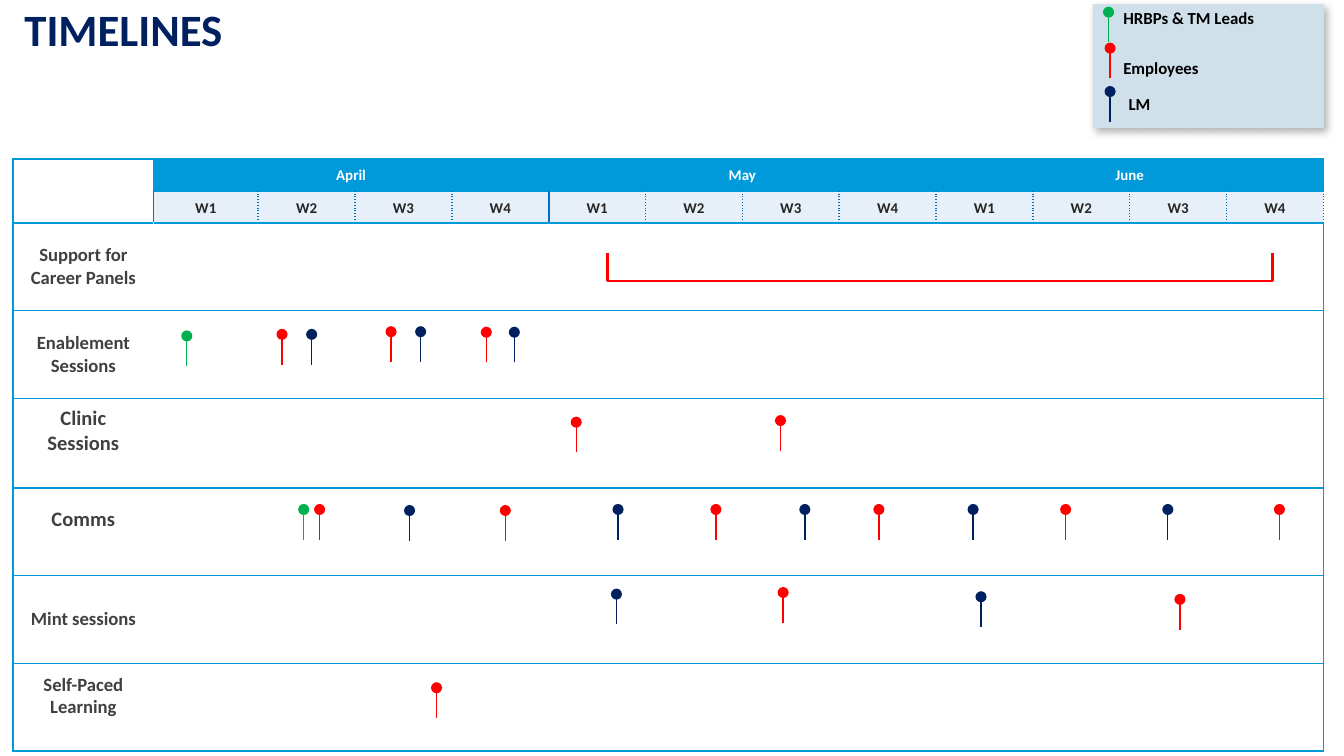
import lxml.etree
import pptx
import pptx.dml.color
import pptx.enum.shapes
import pptx.enum.text
import pptx.oxml
import pptx.oxml.ns
import pptx.util

Cm, Pt = pptx.util.Cm, pptx.util.Pt
RGBColor = pptx.dml.color.RGBColor
qn = pptx.oxml.ns.qn

NAVY = RGBColor(0x00, 0x20, 0x60)
GREEN = RGBColor(0x00, 0xB0, 0x50)
RED = RGBColor(0xFF, 0x00, 0x00)
SKY = RGBColor(0x00, 0x9A, 0xDA)
BLUE = RGBColor(0x00, 0x70, 0xC0)
PALE_BLUE = RGBColor(0xE7, 0xEF, 0xF8)
LEGEND_FILL = RGBColor(0xCF, 0xE0, 0xEA)
WHITE = RGBColor(0xFF, 0xFF, 0xFF)
BLACK = RGBColor(0x00, 0x00, 0x00)
DARK = RGBColor(0x26, 0x26, 0x26)
GREY = RGBColor(0x40, 0x40, 0x40)

FONT = "Calibri"
PIN_LENGTH = 0.57

# Table measures in centimetres
COLUMN_WIDTHS = [2.65, 1.98] + [1.83] * 11
HEADER_HEIGHTS = [0.62, 0.59]
ROW_HEIGHT = 1.66
MONTHS = ["April", "May", "June"]
WEEKS = 4

# Label, text size, bottom margin, pins (distance from table left, from row top, colour)
ACTIVITIES = [
    ("Support for Career Panels", 10, 0.13, []),
    ("Enablement Sessions", 10, 0.13, [
        (3.28, 0.48, GREEN), (5.08, 0.45, RED), (5.64, 0.45, NAVY), (7.14, 0.4, RED),
        (7.7, 0.4, NAVY), (8.94, 0.41, RED), (9.47, 0.41, NAVY)]),
    ("Clinic Sessions", 11, 0.6, [(10.64, 0.45, RED), (14.5, 0.42, RED)]),
    ("Comms", 11, 0.6, [
        (5.49, 0.44, GREEN), (5.79, 0.44, RED), (7.49, 0.46, NAVY), (9.3, 0.46, RED),
        (11.43, 0.44, NAVY), (13.28, 0.44, RED), (14.96, 0.44, NAVY), (16.36, 0.44, RED),
        (18.14, 0.44, NAVY), (19.89, 0.44, RED), (21.82, 0.44, NAVY), (23.93, 0.44, RED)]),
    ("Mint sessions", 10, 0.13, [
        (11.4, 0.38, NAVY), (14.55, 0.35, RED), (18.29, 0.43, NAVY), (22.05, 0.48, RED)]),
    ("Self-Paced Learning", 10, 0.55, [(8, 0.49, RED)]),
]


def add_text(paragraph, text, size, colour):
    run = paragraph.add_run()
    run.text = text
    run.font.name = FONT
    run.font.size = Pt(size)
    run.font.bold = True
    run.font.color.rgb = colour


def add_line(slide, start, end, colour, width):
    line = slide.shapes.add_connector(
        pptx.enum.shapes.MSO_CONNECTOR.STRAIGHT,
        Cm(start[0]), Cm(start[1]), Cm(end[0]), Cm(end[1]))
    line.line.color.rgb = colour
    line.line.width = Pt(width)
    lxml.etree.SubElement(line._element.spPr, qn("a:effectLst"))
    return line


def add_pin(slide, left, top, colour):
    pin = add_line(slide, (left, top + PIN_LENGTH), (left, top), colour, 0.75)
    lxml.etree.SubElement(pin.line._get_or_add_ln(), qn("a:tailEnd"), type="oval")


def set_borders(cell, **borders):
    """Each border is named L, R, T or B and given as (colour, dash)."""
    properties = cell._tc.get_or_add_tcPr()
    for side in "LRTB":
        if side in borders:
            colour, dash = borders[side]
            border = lxml.etree.SubElement(properties, qn("a:ln" + side), w=str(Pt(1)))
            fill = lxml.etree.SubElement(border, qn("a:solidFill"))
            lxml.etree.SubElement(fill, qn("a:srgbClr"), val=str(colour))
            lxml.etree.SubElement(border, qn("a:prstDash"), val=dash)


def set_margins(cell, left, top, right, bottom):
    cell.margin_left, cell.margin_top = Cm(left), Cm(top)
    cell.margin_right, cell.margin_bottom = Cm(right), Cm(bottom)


def fill_cell(cell, text, size, colour, margins, fill=None):
    set_margins(cell, *margins)
    cell.vertical_anchor = pptx.enum.text.MSO_ANCHOR.MIDDLE
    paragraph = cell.text_frame.paragraphs[0]
    paragraph.alignment = pptx.enum.text.PP_ALIGN.CENTER
    add_text(paragraph, text, size, colour)
    if fill is not None:
        cell.fill.solid()
        cell.fill.fore_color.rgb = fill


def shrink_empty_cells(table):
    """Keep the text height of empty cells from stretching their rows."""
    for cell in (cell for row in table.rows for cell in row.cells):
        paragraph = cell.text_frame.paragraphs[0]
        if not paragraph.runs:
            set_margins(cell, 0, 0, 0, 0)
            lxml.etree.SubElement(paragraph._p, qn("a:endParaRPr"), sz="800")


def add_title(slide, left, top, width, height):
    title = slide.shapes.title
    title.left, title.top, title.width, title.height = map(Cm, (left, top, width, height))
    frame = title.text_frame
    frame.auto_size = pptx.enum.text.MSO_AUTO_SIZE.NONE
    frame.word_wrap = True
    frame.margin_left = frame.margin_top = frame.margin_right = frame.margin_bottom = 0
    frame.vertical_anchor = pptx.enum.text.MSO_ANCHOR.BOTTOM
    frame.paragraphs[0].alignment = pptx.enum.text.PP_ALIGN.LEFT
    add_text(frame.paragraphs[0], "TIMELINES", 24, NAVY)


def add_schedule(slide, left, top):
    heights = HEADER_HEIGHTS + [ROW_HEIGHT] * len(ACTIVITIES)
    table = slide.shapes.add_table(
        len(heights), len(COLUMN_WIDTHS), Cm(left), Cm(top),
        Cm(sum(COLUMN_WIDTHS)), Cm(sum(heights))).table
    table.first_row = table.horz_banding = False
    for column, width in zip(table.columns, COLUMN_WIDTHS):
        column.width = Cm(width)
    for row, height in zip(table.rows, heights):
        row.height = Cm(height)
    last = len(COLUMN_WIDTHS) - 1
    sky, solid, dotted = (SKY, "solid"), (BLUE, "solid"), (BLUE, "sysDot")

    # Empty corner
    table.cell(0, 0).merge(table.cell(1, 0))
    for row in range(2):
        set_borders(table.cell(row, 0), L=sky, T=sky, B=sky)
        table.cell(row, 0).fill.background()

    # Months and weeks
    for month, name in enumerate(MONTHS):
        first = 1 + month * WEEKS
        table.cell(0, first).merge(table.cell(0, first + WEEKS - 1))
        for column in range(first, first + WEEKS):
            set_borders(table.cell(0, column), L=sky, R=sky, T=sky, B=sky)
            cell = table.cell(1, column)
            set_borders(cell, L=solid if column in (1, 1 + WEEKS) else dotted,
                        R=solid if column == WEEKS else dotted, T=sky, B=sky)
            fill_cell(cell, f"W{column - first + 1}", 8, DARK, (0.03, 0.03, 0.03, 0), PALE_BLUE)
        fill_cell(table.cell(0, first), name, 8, WHITE, (0.18, 0.1, 0.18, 0.1), SKY)

    # Activities with their pins
    for row, (label, size, bottom, pins) in enumerate(ACTIVITIES, 2):
        cell = table.cell(row, 0)
        set_borders(cell, L=sky, T=sky, B=sky)
        fill_cell(cell, label, size, GREY, (0.25, 0.13, 0.25, bottom))
        cell.fill.background()
        table.cell(row, 1).merge(table.cell(row, last))
        for column in range(1, last + 1):
            edge = {"R": sky} if column in (1, last) else {}
            set_borders(table.cell(row, column), T=sky, B=sky, **edge)
            table.cell(row, column).fill.background()
        row_top = top + sum(heights[:row])
        for pin_left, pin_top, colour in pins:
            add_pin(slide, left + pin_left, row_top + pin_top, colour)
    shrink_empty_cells(table)

    # Bracket over the career panel weeks
    start, end = left + 11.23, left + 23.8
    upper, lower = top + sum(HEADER_HEIGHTS) + 0.57, top + sum(HEADER_HEIGHTS) + 1.1
    add_line(slide, (start, lower), (end, lower), RED, 1.5)
    for side in (start, end):
        add_line(slide, (side, upper), (side, lower), RED, 1.5)


def add_legend(slide, left, top, width, height):
    panel = slide.shapes.add_shape(
        pptx.enum.shapes.MSO_SHAPE.RECTANGLE, Cm(left), Cm(top), Cm(width), Cm(height))
    panel.fill.solid()
    panel.fill.fore_color.rgb = LEGEND_FILL
    panel.line.fill.background()
    panel.shadow.inherit = False
    effects = panel._element.spPr.find(qn("a:effectLst"))
    shadow = lxml.etree.SubElement(
        effects, qn("a:outerShdw"), blurRad=str(Pt(4.5)), dist=str(Pt(2.6)),
        dir=str(53 * 60000), algn="tl", rotWithShape="0")
    colour = lxml.etree.SubElement(shadow, qn("a:srgbClr"), val=str(BLACK))
    lxml.etree.SubElement(colour, qn("a:alpha"), val="30000")

    # Audience, pin colour, pin position, text position, text width
    entries = [
        ("HRBPs & TM Leads", GREEN, (0.3, 0.15), (0.33, -0.05), 3.02),
        ("Employees", RED, (0.33, 0.83), (0.33, 0.89), 2.03),
        ("LM", NAVY, (0.33, 1.65), (0.43, 1.57), 0.99),
    ]
    for audience, pin_colour, pin, label, label_width in entries:
        add_pin(slide, left + pin[0], top + pin[1], pin_colour)
        box = slide.shapes.add_textbox(
            Cm(left + label[0]), Cm(top + label[1]), Cm(label_width), Cm(0.64))
        box.text_frame.word_wrap = False
        box.text_frame.auto_size = pptx.enum.text.MSO_AUTO_SIZE.SHAPE_TO_FIT_TEXT
        add_text(box.text_frame.paragraphs[0], audience, 9, BLACK)


def main():
    presentation = pptx.Presentation()
    presentation.slide_width, presentation.slide_height = Cm(25.4), Cm(14.29)
    slide = presentation.slides.add_slide(presentation.slide_layouts.get_by_name("Title Only"))
    add_title(slide, 0.46, 0.13, 21.89, 0.91)
    add_schedule(slide, 0.25, 3)
    add_legend(slide, 20.65, 0.08, 4.37, 2.34)
    presentation.save("out.pptx")


if __name__ == "__main__":
    main()
